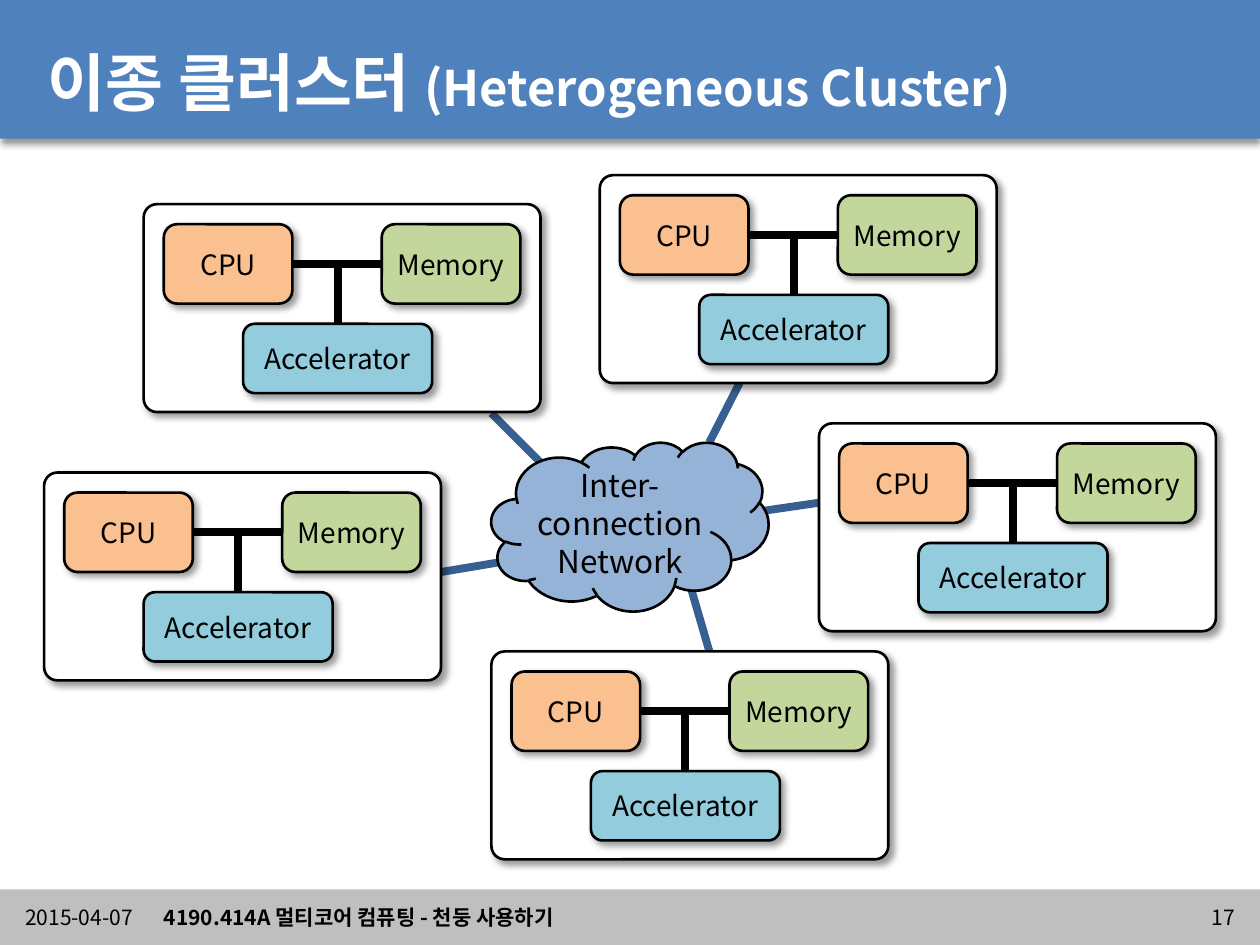
from lxml.etree import SubElement
from pptx import Presentation
from pptx.dml.color import RGBColor
from pptx.enum.shapes import MSO_CONNECTOR, MSO_SHAPE
from pptx.enum.text import MSO_ANCHOR, PP_ALIGN
from pptx.oxml.ns import qn
from pptx.util import Inches, Pt

COLORS = {
    "banner": "4F81BD",
    "footer": "BFBFBF",
    "link": "376092",
    "cpu": "FAC090",
    "memory": "C3D69B",
    "accelerator": "93CDDD",
    "cloud": "95B3D7",
    "black": "000000",
    "white": "FFFFFF",
}
FONT = "Noto Sans CJK KR"
NODES = [(1.14, 1.62), (4.76, 1.39), (6.5, 3.36), (3.9, 5.17), (0.35, 3.75)]
LINKS = [
    (3.9, 3.28, 4.29, 3.67),
    (5.87, 3.04, 5.63, 3.51),
    (6.5, 3.99, 6.02, 4.06),
    (5.47, 4.62, 5.63, 5.17),
    (3.5, 4.54, 3.98, 4.46),
]


def color(name):
    return RGBColor.from_string(COLORS[name])


class SlideBuilder:
    def __init__(self, slide):
        self.slide = slide
        self.shapes = slide.shapes

    def style_font(self, font, size, color_name="black", bold=False):
        font.size = Pt(size)
        font.bold = bold
        font.color.rgb = color(color_name)
        font.name = FONT
        SubElement(font._element, qn("a:ea"), typeface=FONT)

    def shadow(self, shape, direction):
        effects = shape._element.spPr.find(qn("a:effectLst"))
        outer = SubElement(
            effects, qn("a:outerShdw"), blurRad=str(Pt(4)), dist=str(Pt(3)),
            dir=str(direction * 60000), algn="t", rotWithShape="0",
        )
        black = SubElement(outer, qn("a:srgbClr"), val=COLORS["black"])
        SubElement(black, qn("a:alpha"), val="40000")

    def box(self, kind, box, fill, outlined=True, shadow=None):
        shape = self.shapes.add_shape(kind, *map(Inches, box))
        shape.shadow.inherit = False
        shape.fill.solid()
        shape.fill.fore_color.rgb = color(fill)
        if outlined:
            shape.line.color.rgb = color("black")
            shape.line.width = Pt(1.5)
        else:
            shape.line.fill.background()
        if shadow is not None:
            self.shadow(shape, shadow)
        return shape

    def label(self, shape, lines, size, align=PP_ALIGN.CENTER, bold=False, margins=(0.04, 0.05)):
        frame = shape.text_frame
        frame.word_wrap = True
        frame.vertical_anchor = MSO_ANCHOR.MIDDLE
        frame.margin_left = frame.margin_right = Inches(margins[0])
        frame.margin_top = frame.margin_bottom = Inches(margins[1])
        frame.text = "\n".join(lines)
        for paragraph in frame.paragraphs:
            paragraph.alignment = align
            self.style_font(paragraph.font, size, bold=bold)

    def component(self, text, box, fill):
        shape = self.box(MSO_SHAPE.ROUNDED_RECTANGLE, box, fill, shadow=45)
        self.label(shape, [text], 16)
        return shape

    def line(self, start_x, start_y, end_x, end_y, color_name):
        connector = self.shapes.add_connector(
            MSO_CONNECTOR.STRAIGHT, *map(Inches, (start_x, start_y, end_x, end_y))
        )
        connector.line.color.rgb = color(color_name)
        connector.line.width = Pt(4.5)
        SubElement(connector._element.spPr, qn("a:effectLst"))
        return connector

    def node(self, left, top):
        frame = self.box(MSO_SHAPE.ROUNDED_RECTANGLE, (left, top, 3.15, 1.65), "white", shadow=45)
        frame.adjustments[0] = 0.064
        cpu = self.component("CPU", (left + 0.16, top + 0.16, 1.02, 0.63), "cpu")
        memory = self.component("Memory", (left + 1.89, top + 0.16, 1.1, 0.63), "memory")
        accelerator = self.component(
            "Accelerator", (left + 0.79, top + 0.95, 1.5, 0.55), "accelerator"
        )
        bus_y = top + 0.48
        bus = self.line(left + 1.18, bus_y, left + 1.89, bus_y, "black")
        bus.begin_connect(cpu, 3)
        bus.end_connect(memory, 1)
        branch = self.line(left + 1.54, bus_y, left + 1.54, top + 0.95, "black")
        branch.end_connect(accelerator, 0)

    def title(self, box, pieces):
        title = self.shapes.title
        title.left, title.top, title.width, title.height = map(Inches, box)
        self.shapes._spTree.append(title._element)
        frame = title.text_frame
        frame.word_wrap = True
        frame.vertical_anchor = MSO_ANCHOR.MIDDLE
        paragraph = frame.paragraphs[0]
        paragraph.alignment = PP_ALIGN.LEFT
        for text, size in pieces:
            run = paragraph.add_run()
            run.text = text
            self.style_font(run.font, size, "white", bold=True)

    def footer_text(self, text, left, width, align=PP_ALIGN.LEFT, bold=False):
        shape = self.shapes.add_textbox(*map(Inches, (left, 7.16, width, 0.24)))
        self.label(shape, [text], 12, align, bold, margins=(0, 0))


def main():
    presentation = Presentation()
    presentation.slide_width = Inches(10)
    presentation.slide_height = Inches(7.5)
    builder = SlideBuilder(presentation.slides.add_slide(presentation.slide_layouts[5]))

    builder.box(MSO_SHAPE.RECTANGLE, (0, 7.06, 10, 0.44), "footer", outlined=False)
    builder.box(MSO_SHAPE.RECTANGLE, (0, 0, 10, 1.1), "banner", outlined=False, shadow=90)
    for link in LINKS:
        builder.line(*link, "link")
    builder.title((0.28, 0.29, 9.45, 0.71), [("이종 클러스터 ", 36), ("(Heterogeneous Cluster)", 28)])
    builder.footer_text("2015-04-07", 0.2, 1.1)
    builder.footer_text("4190.414A 멀티코어 컴퓨팅 - 천둥 사용하기", 1.3, 7.8, bold=True)
    builder.footer_text("17", 9.09, 0.71, PP_ALIGN.RIGHT)
    for left, top in NODES:
        builder.node(left, top)
    cloud = builder.box(MSO_SHAPE.CLOUD, (3.9, 3.51, 2.2, 1.34), "cloud")
    builder.label(cloud, ["Inter-connection", "Network"], 18)

    presentation.save("out.pptx")


if __name__ == "__main__":
    main()
